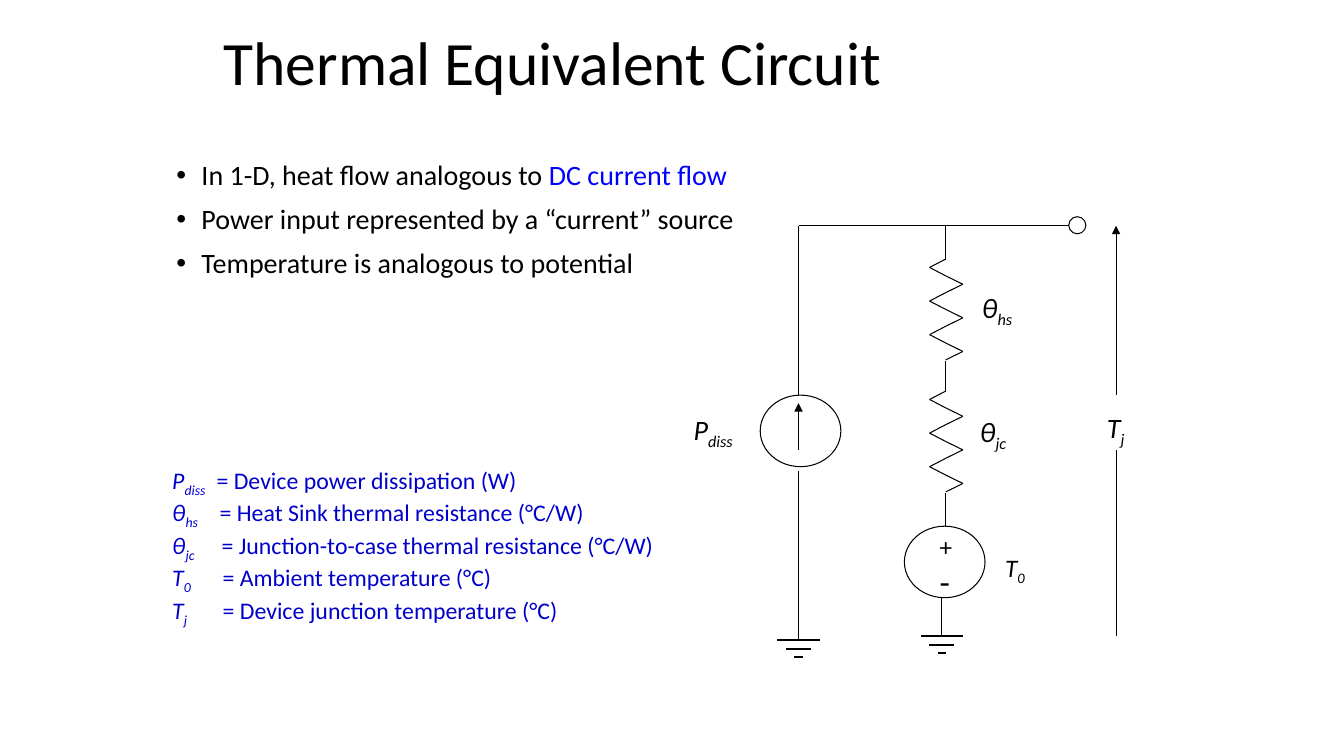
from dataclasses import dataclass
from itertools import pairwise
from lxml import etree
from pptx import Presentation
from pptx.dml.color import RGBColor
from pptx.enum.shapes import MSO_CONNECTOR, MSO_SHAPE
from pptx.enum.text import MSO_ANCHOR, MSO_AUTO_SIZE
from pptx.oxml.ns import qn
from pptx.util import Inches, Pt


@dataclass(frozen=True)
class Theme:
    font: str = "Calibri"
    black: RGBColor = RGBColor(0, 0, 0)
    highlight: RGBColor = RGBColor(0, 0, 0xFF)
    legend: RGBColor = RGBColor(0, 0, 0xCC)
    title_size: int = 44
    body_size: int = 20
    label_size: int = 20
    small_size: int = 18
    minus_size: int = 24
    legend_size: int = 17
    thin: float = 0.75
    thick: float = 1.5


theme = Theme()
prs = Presentation()
prs.slide_width, prs.slide_height = Inches(13.33), Inches(7.5)
s = prs.slides.add_slide(prs.slide_layouts[6])


def add_text(box, paragraphs, size, color=theme.black, wrap=True):
    """Add a text box; a run is (text, format), where format may hold sub for a subscript."""
    tf = s.shapes.add_textbox(*map(Inches, box)).text_frame
    tf.word_wrap = wrap
    for i, runs in enumerate(paragraphs):
        p = tf.paragraphs[0] if i == 0 else tf.add_paragraph()
        for text, extra in runs:
            r = p.add_run()
            r.text = text
            values = {"name": theme.font, "size": Pt(size), "italic": False} | extra
            if values.pop("sub", False):
                r._r.get_or_add_rPr().set("baseline", "-25000")
            r.font.color.rgb = values.pop("color", color)
            for name, value in values.items():
                setattr(r.font, name, value)
    return tf


def add_line(x1, y1, x2, y2, width=theme.thin, arrow=False):
    line = s.shapes.add_connector(MSO_CONNECTOR.STRAIGHT, *map(Inches, (x1, y1, x2, y2)))
    line.line.color.rgb = theme.black
    line.line.width = Pt(width)
    if arrow:
        etree.SubElement(line.line._get_or_add_ln(), qn("a:tailEnd"), type="triangle")
    etree.SubElement(line._element.spPr, qn("a:effectLst"))


# Title and bullets
tf = add_text((2.12, 0.03, 9, 1.25), [[("Thermal Equivalent Circuit", {})]], theme.title_size)
tf.vertical_anchor = MSO_ANCHOR.MIDDLE
tf.paragraphs[0].line_spacing = 0.9

tf = add_text((1.65, 1.55, 6.39, 1.29), [
    [("In 1-D, heat flow analogous to ", {}), ("DC current flow", {"color": theme.highlight})],
    [("Power input represented by a “current” source", {})],
    [("Temperature is analogous to potential", {})],
], theme.body_size)
for i, p in enumerate(tf.paragraphs):
    pPr = p._p.get_or_add_pPr()
    pPr.set("marL", str(Inches(0.25)))
    pPr.set("indent", str(-Inches(0.25)))
    etree.SubElement(pPr, qn("a:buFont"), typeface="Arial")
    etree.SubElement(pPr, qn("a:buChar"), char="•")
    p.line_spacing = 0.9
    p.space_before = Pt(10 if i else 0)

# Circuit
source_x, branch_x, tj_x = 7.92, 9.38, 11.07
top_y, return_y = 2.24, 6.31

resistor_height, steps = 1.0, 12
swings = (0, -0.16, 0, 0.17)
for top in (2.57, 3.88):
    zigzag = [(branch_x + swings[k % 4], top + resistor_height * k / steps) for k in range(steps + 1)]
    for start, end in pairwise(zigzag):
        add_line(*start, *end)

for box in (
    (7.54, 3.92, 0.8, 0.71),
    (8.97, 5.22, 0.8, 0.71),
    (10.6, 2.15, 0.17, 0.17),
):
    circle = s.shapes.add_shape(MSO_SHAPE.OVAL, *map(Inches, box))
    circle.shadow.inherit = False
    circle.fill.background()
    circle.line.color.rgb = theme.black
    circle.line.width = Pt(theme.thin)

for wire in (
    (source_x, 3.92, source_x, top_y),
    (source_x, top_y, branch_x, top_y),
    (branch_x, top_y, 10.6, top_y),
    (branch_x, 2.58, branch_x, top_y),
    (branch_x, 3.58, branch_x, 3.88),
    (branch_x, 4.89, branch_x, 5.22),
    (9.34, 5.93, 9.34, return_y),
    (source_x, 4.67, source_x, 6.35),
    (tj_x, return_y, tj_x, 4.46),
):
    add_line(*wire)
for arrow in ((source_x, 4.46, source_x, 4), (tj_x, 3.92, tj_x, top_y)):
    add_line(*arrow, arrow=True)

for x, y in ((source_x, 6.35), (9.34, return_y)):
    for k, half in enumerate((0.21, 0.125, 0.04)):
        bar_y = y + k * 0.085
        add_line(x + half, bar_y, x - half, bar_y, theme.thick)

# Labels
tf = add_text((9.22, 5.22, 0.33, 0.81),
              [[("+", {})], [("-", {"size": Pt(theme.minus_size)})]], theme.small_size, wrap=False)
tf.auto_size = MSO_AUTO_SIZE.SHAPE_TO_FIT_TEXT
for box, symbol, index, size in (
    ((6.78, 4.04, 0.65, 0.43), "P", "diss", theme.label_size),
    ((9.87, 5.43, 0.42, 0.4), "T", "0", theme.small_size),
    ((9.62, 4.06, 0.47, 0.44), "θ", "jc", theme.label_size),
    ((9.64, 2.83, 0.52, 0.44), "θ", "hs", theme.label_size),
    ((10.88, 4.02, 0.38, 0.44), "T", "j", theme.label_size),
):
    runs = [(symbol, {"italic": True}), (index, {"italic": True, "sub": True})]
    tf = add_text(box, [runs], size, wrap=False)
    tf.auto_size = MSO_AUTO_SIZE.SHAPE_TO_FIT_TEXT

# Legend
legend = (
    ("P", "diss", "Device power dissipation (W)", 0.44),
    ("θ", "hs", "Heat Sink thermal resistance (°C/W)", 0.47),
    ("θ", "jc", "Junction-to-case thermal resistance (°C/W)", 0.49),
    ("T", "0", "Ambient temperature (°C)", 0.5),
    ("T", "j", "Device junction temperature (°C)", 0.5),
)
rows = [[(symbol, {"italic": True}), (index, {"italic": True, "sub": True}), (f"\t= {meaning}", {})]
        for symbol, index, meaning, tab in legend]
tf = add_text((1.61, 4.57, 6.13, 1.77), rows, theme.legend_size, theme.legend)
tf.auto_size = MSO_AUTO_SIZE.SHAPE_TO_FIT_TEXT
for p, (*row, tab) in zip(tf.paragraphs, legend):
    tabs = etree.SubElement(p._p.get_or_add_pPr(), qn("a:tabLst"))
    etree.SubElement(tabs, qn("a:tab"), pos=str(Inches(tab)), algn="l")

prs.save("out.pptx")
